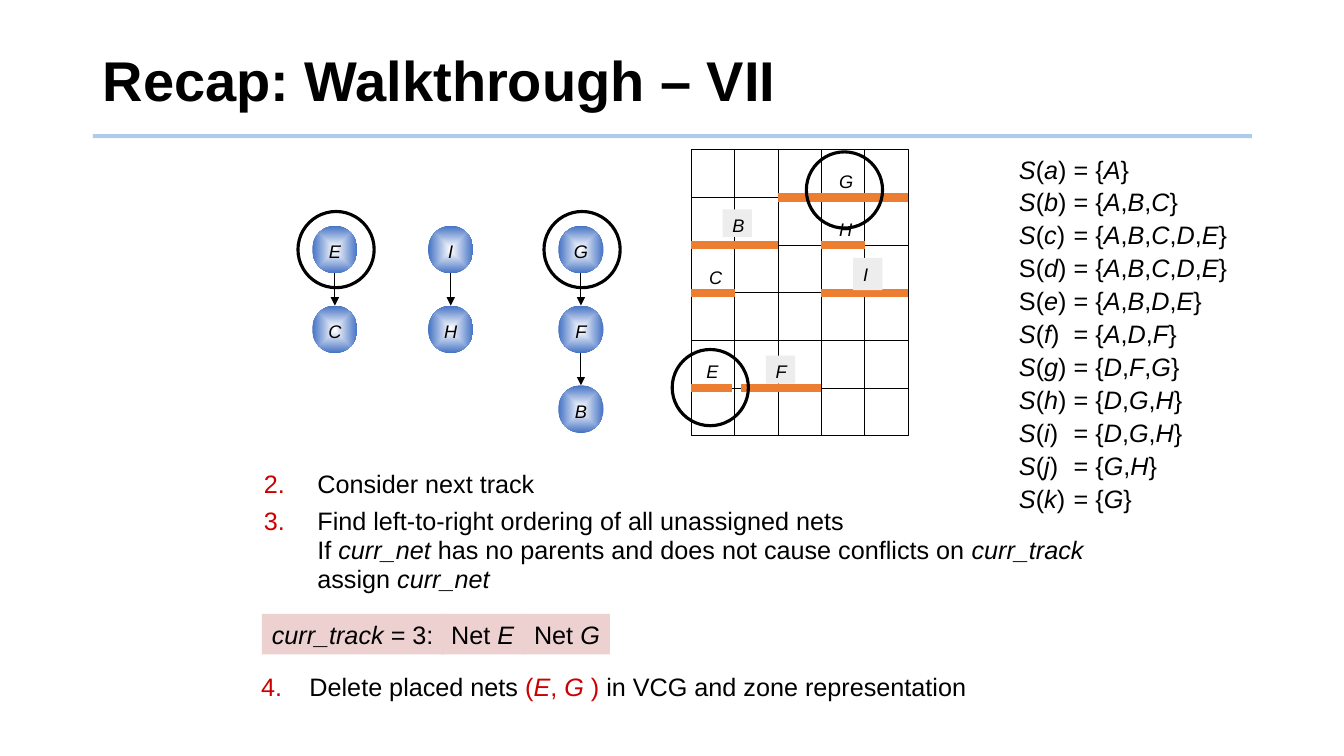
from lxml import etree
from pptx import Presentation
from pptx.dml.color import RGBColor
from pptx.enum.shapes import MSO_CONNECTOR, MSO_SHAPE
from pptx.enum.text import MSO_ANCHOR, PP_ALIGN
from pptx.oxml.ns import qn
from pptx.util import Cm, Pt

STRAIGHT = MSO_CONNECTOR.STRAIGHT
OVAL, RECTANGLE = MSO_SHAPE.OVAL, MSO_SHAPE.RECTANGLE
LEFT, CENTER = PP_ALIGN.LEFT, PP_ALIGN.CENTER
MIDDLE = MSO_ANCHOR.MIDDLE
FONT = "Arial"
COLORS = {
    "text": "000000", "red": "CC0000", "rule": "5B9BD5", "net": "ED7D31",
    "label": "EDEDED", "tag": "EDD1D1", "node": "4472C4", "white": "FFFFFF",
}


def color(name):
    return RGBColor.from_string(COLORS[name])


def write(para, markup, size=18, ink="text", bold=None):
    for index, piece in enumerate(markup.split("*")):
        for line_number, line in enumerate(piece.split("\n")):
            if line_number:
                para.add_line_break()
            if line:
                span = para.add_run()
                span.text = line
                span.font.name = FONT
                span.font.size = Pt(size)
                span.font.bold = bold
                span.font.italic = index % 2 == 1
                span.font.color.rgb = color(ink)


def add_text(page, left, top, width, height, inset=0.25, wrap=True):
    box = page.shapes.add_textbox(Cm(left), Cm(top), Cm(width), Cm(height))
    frame = box.text_frame
    frame.word_wrap = wrap
    frame.margin_left, frame.margin_right = Cm(inset), Cm(0.25)
    frame.margin_top = frame.margin_bottom = Cm(0.13)
    return box


def paint(box, name):
    box.fill.solid()
    box.fill.fore_color.rgb = color(name)


def add_line(page, start, end, width=0.75, ink="text", arrow=False):
    line = page.shapes.add_connector(STRAIGHT, *(Cm(value) for value in start + end))
    line.line.width = Pt(width)
    line.line.color.rgb = color(ink)
    if arrow:
        etree.SubElement(line.line._get_or_add_ln(), qn("a:tailEnd"), type="triangle")
    etree.SubElement(line._element.spPr, qn("a:effectLst"))
    return line


def add_outline(page, kind, left, top, width, height, weight):
    shape = page.shapes.add_shape(kind, Cm(left), Cm(top), Cm(width), Cm(height))
    shape.shadow.inherit = False
    shape.fill.background()
    shape.line.color.rgb = color("text")
    shape.line.width = Pt(weight)


def add_ring(page, center_x, center_y, size=1.92):
    add_outline(page, OVAL, center_x - size / 2, center_y - size / 2, size, size, 2.25)


def add_numbering(para, start, indent):
    properties = para._p.get_or_add_pPr()
    properties.set("marL", str(Cm(indent)))
    properties.set("indent", str(-Cm(indent)))
    bullet_color = etree.SubElement(properties, qn("a:buClr"))
    etree.SubElement(bullet_color, qn("a:srgbClr"), val=COLORS["red"])
    etree.SubElement(properties, qn("a:buFont"), typeface=FONT)
    etree.SubElement(properties, qn("a:buAutoNum"), type="arabicPeriod", startAt=str(start))


def add_heading(page, left, top, width, height):
    rule = add_line(page, (left, 3.43), (left + width, 3.43), 3, "rule")
    rule_color = rule._element.spPr.find(".//" + qn("a:srgbClr"))
    etree.SubElement(rule_color, qn("a:alpha"), val="50000")
    title = page.shapes.title
    title.left, title.top, title.width, title.height = map(Cm, (left, top, width, height))
    title.text_frame.vertical_anchor = MIDDLE
    para = title.text_frame.paragraphs[0]
    para.alignment = LEFT
    para.line_spacing = 0.9
    write(para, "Recap: Walkthrough – VII", 40, bold=True)


def add_node(page, name, left, top, width, height):
    node = page.shapes.add_shape(OVAL, Cm(left), Cm(top), Cm(width), Cm(height))
    node.shadow.inherit = False
    node.line.fill.background()
    node.fill.gradient()
    for stop, ink in zip(node.fill.gradient_stops, ("white", "node")):
        stop.color.rgb = color(ink)
    gradient = node._element.spPr.find(qn("a:gradFill"))
    gradient.remove(gradient.find(qn("a:lin")))
    shading = etree.SubElement(gradient, qn("a:path"), {"path": "shape"})
    etree.SubElement(shading, qn("a:fillToRect"), l="50000", t="50000", r="50000", b="50000")
    frame = node.text_frame
    frame.word_wrap = False
    frame.margin_left = frame.margin_right = frame.margin_bottom = 0
    frame.margin_top = Cm(0.1)
    frame.vertical_anchor = MIDDLE
    frame.paragraphs[0].alignment = CENTER
    write(frame.paragraphs[0], f"*{name}*", 13)


def add_constraint_graph(page, left, top):
    width, height, pitch = 1.14, 1.2, 2.01
    for offset, chain, ringed in ((0, "EC", True), (2.92, "IH", False), (6.2, "GFB", True)):
        center = left + offset + width / 2
        for row, name in enumerate(chain):
            node_top = top + row * pitch
            add_node(page, name, left + offset, node_top, width, height)
            if row:
                add_line(page, (center, node_top - pitch + height), (center, node_top), arrow=True)
        if ringed:
            add_ring(page, center + 0.03, top + height / 2)


def add_zone_grid(page, left, top, width, height):
    columns, rows = 5, 6
    cell_width, cell_height = width / columns, height / rows
    add_outline(page, RECTANGLE, left, top, width, height, 0.75)
    for column in range(1, columns):
        x = left + column * cell_width
        add_line(page, (x, top), (x, top + height))
    for row in range(1, rows):
        y = top + row * cell_height
        add_line(page, (left, y), (left + width, y))

    nets = (
        ("G", 1, 2, 5, 3.48, 0.38, None), ("B", 2, 0, 2, 0.79, 1.5, 0.69),
        ("H", 2, 3, 4, 3.48, 1.6, None), ("C", 3, 0, 1, 0.2, 2.79, None),
        ("I", 3, 3, 5, 4.08, 2.72, 0.81), ("E", 5, 0, 0.93, 0.13, 5.18, None),
        ("F", 5, 1.14, 3, 1.88, 5.18, 0.71),
    )
    for name, row, start, end, label_x, label_y, filled_height in nets:
        y = top + row * cell_height
        add_line(page, (left + start * cell_width, y), (left + end * cell_width, y), 6, "net")
        label = add_text(page, left + label_x, top + label_y, 0.74, filled_height or 0.81)
        label.text_frame.margin_bottom = 0
        if filled_height:
            paint(label, "label")
        write(label.text_frame.paragraphs[0], f"*{name}*", 13)
    for column, row in ((3.53, 0.84), (0.44, 4.99)):
        add_ring(page, left + column * cell_width, top + row * cell_height)


def add_zone_sets(page, left, top, width, height):
    zones = (
        ("a", "A"), ("b", "ABC"), ("c", "ABCDE"), ("d", "ABCDE"), ("e", "ABDE"), ("f", "ADF"),
        ("g", "DFG"), ("h", "DGH"), ("i", "DGH"), ("j", "GH"), ("k", "G"),
    )
    frame = add_text(page, left, top, width, height, inset=0.53).text_frame
    for index, (zone, members) in enumerate(zones):
        para = frame.add_paragraph() if index else frame.paragraphs[0]
        para.line_spacing = Pt(23.5)
        tabs = etree.SubElement(para._p.get_or_add_pPr(), qn("a:tabLst"))
        etree.SubElement(tabs, qn("a:tab"), pos=str(Cm(1.38)), algn="l")
        prefix = "S" if zone in "de" else "*S*"
        names = ",".join(f"*{name}*" for name in members)
        write(para, f"{prefix}(*{zone}*)\t= {{{names}}}")


def add_steps(page, left, top, width):
    frame = add_text(page, left, top, width, 3.4).text_frame
    steps = (
        "Consider next track",
        "Find left-to-right ordering of all unassigned nets\n"
        "If *curr_net *has no parents and does not cause conflicts on *curr_track*\n"
        "assign *curr_net*",
    )
    for index, step in enumerate(steps):
        para = frame.add_paragraph() if index else frame.paragraphs[0]
        add_numbering(para, index + 2, 1.35)
        para.line_spacing = 0.95
        if index:
            para.space_before = Pt(6)
        write(para, step)

    tags = ((0.2, 4.6, "*curr_track* = 3:"), (4.72, 2.12, "Net *E*"), (6.81, 2.16, "Net *G*"))
    for offset, tag_width, wording in tags:
        tag = add_text(page, left + offset, top + 3.74, tag_width, 1.02)
        tag.text_frame.margin_right = 0
        paint(tag, "tag")
        write(tag.text_frame.paragraphs[0], wording)

    para = add_text(page, left - 0.07, top + 5.18, width, 0.9).text_frame.paragraphs[0]
    add_numbering(para, 4, 1.22)
    para.line_spacing = 0.85
    write(para, "Delete placed nets ")
    write(para, "(*E*, *G *)", ink="red")
    write(para, " in VCG and zone representation")


def main():
    deck = Presentation()
    deck.slide_width, deck.slide_height = Cm(33.87), Cm(19.05)
    page = deck.slides.add_slide(deck.slide_layouts[5])
    add_heading(page, 2.34, 0.71, 29.21, 2.79)
    add_constraint_graph(page, 7.87, 5.69)
    add_zone_grid(page, 17.42, 3.78, 5.47, 7.2)
    add_zone_sets(page, 25.15, 3.68, 6.4, 9.42)
    add_steps(page, 6.4, 11.73, 21.97)
    deck.save("out.pptx")


if __name__ == "__main__":
    main()
